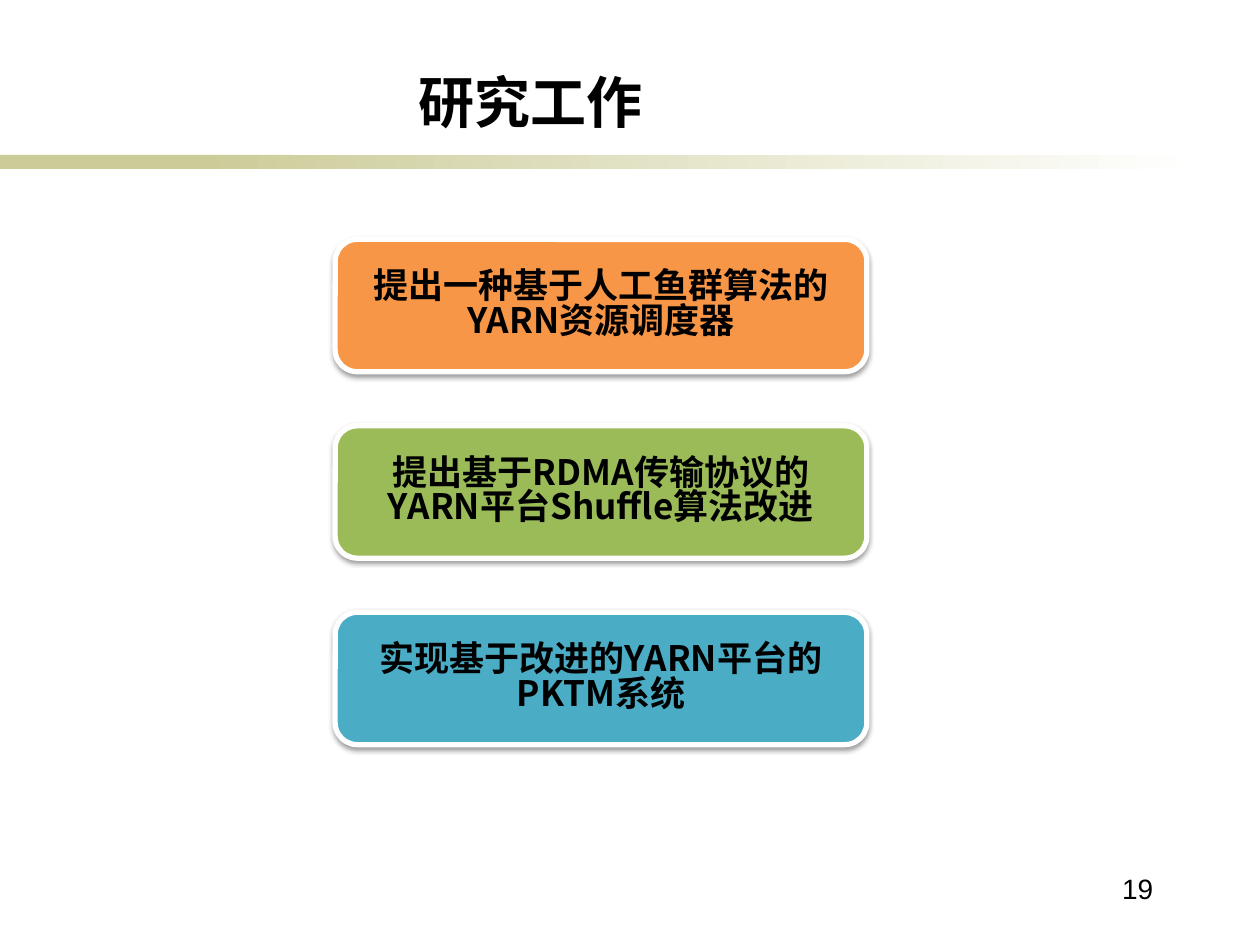
from dataclasses import dataclass

from lxml.etree import SubElement
from pptx import Presentation
from pptx.dml.color import RGBColor
from pptx.enum.shapes import MSO_SHAPE as Preset
from pptx.enum.text import MSO_ANCHOR as Anchor, PP_ALIGN as Align
from pptx.oxml.ns import qn
from pptx.shapes.autoshape import Shape
from pptx.slide import Slide
from pptx.util import Inches, Pt

BLACK = RGBColor(0x00, 0x00, 0x00)
WHITE = RGBColor(0xFF, 0xFF, 0xFF)
KHAKI = RGBColor(0xCC, 0xCC, 0x99)
ORANGE = RGBColor(0xF7, 0x96, 0x46)
GREEN = RGBColor(0x9B, 0xBB, 0x59)
TEAL = RGBColor(0x4B, 0xAC, 0xC6)

CJK_FONT = "Noto Sans CJK SC"
BAND_TOP, BAND_HEIGHT = 1.23, 0.11
CARD_LEFT, CARD_TOP, CARD_WIDTH, CARD_HEIGHT = 2.66, 1.9, 4.22, 1.05
CARD_PITCH = 1.48


@dataclass(frozen=True)
class Card:
    text: str
    color: RGBColor


CARDS = [
    Card("提出一种基于人工鱼群算法的YARN资源调度器", ORANGE),
    Card("提出基于RDMA传输协议的YARN平台Shuffle算法改进", GREEN),
    Card("实现基于改进的YARN平台的PKTM系统", TEAL),
]


def write_text(shape: Shape, text: str, *, size: float, font: str = CJK_FONT,
               bold: bool = True, align: Align = Align.CENTER,
               anchor: Anchor = Anchor.MIDDLE, inset_x: float = 0,
               inset_y: float = 0, spacing: float = 1.0) -> None:
    frame = shape.text_frame
    frame.word_wrap = True
    frame.vertical_anchor = anchor
    frame.margin_left = frame.margin_right = Inches(inset_x)
    frame.margin_top = frame.margin_bottom = Inches(inset_y)
    paragraph = frame.paragraphs[0]
    paragraph.alignment = align
    paragraph.line_spacing = spacing
    run = paragraph.add_run()
    run.text = text
    run.font.size = Pt(size)
    run.font.bold = bold
    run.font.name = font
    run.font.color.rgb = BLACK
    SubElement(run.font._element, qn("a:ea"), typeface=font)


def add_text_box(slide: Slide, left: float, top: float, width: float,
                 height: float, text: str, **text_format) -> None:
    box = slide.shapes.add_textbox(Inches(left), Inches(top), Inches(width), Inches(height))
    write_text(box, text, **text_format)


def add_block(slide: Slide, preset: Preset, left: float, top: float,
              width: float, height: float, color: RGBColor) -> Shape:
    shape = slide.shapes.add_shape(preset, Inches(left), Inches(top),
                                   Inches(width), Inches(height))
    shape.shadow.inherit = False
    shape.fill.solid()
    shape.fill.fore_color.rgb = color
    shape.line.fill.background()
    return shape


def add_soft_shadow(shape: Shape) -> None:
    effects = shape._element.spPr.find(qn("a:effectLst"))
    shadow = SubElement(effects, qn("a:outerShdw"), blurRad=str(Pt(3.1)),
                        dist=str(Pt(1.6)), dir="5400000", rotWithShape="0")
    color = SubElement(shadow, qn("a:srgbClr"), val=str(BLACK))
    SubElement(color, qn("a:alpha"), val="38000")


def add_card(slide: Slide, card: Card, top: float) -> None:
    shape = add_block(slide, Preset.ROUNDED_RECTANGLE, CARD_LEFT, top,
                      CARD_WIDTH, CARD_HEIGHT, card.color)
    shape.line.color.rgb = WHITE
    shape.line.width = Pt(3)
    add_soft_shadow(shape)
    write_text(shape, card.text, size=20, inset_x=0.08, spacing=0.83)


def add_title_band(slide: Slide) -> None:
    add_block(slide, Preset.RECTANGLE, 0, BAND_TOP, 2.33, BAND_HEIGHT, KHAKI)
    fade = add_block(slide, Preset.RECTANGLE, 1.58, BAND_TOP, 7.92, BAND_HEIGHT, KHAKI)
    fade.fill.gradient()
    fade.fill.gradient_angle = 0
    for stop, color in zip(fade.fill.gradient_stops, (KHAKI, WHITE)):
        stop.color.rgb = color


def main() -> None:
    presentation = Presentation()
    presentation.slide_width = Inches(10)
    presentation.slide_height = Inches(7.5)
    slide = presentation.slides.add_slide(presentation.slide_layouts[6])

    # Header and page number
    add_title_band(slide)
    add_text_box(slide, 8.23, 6.87, 1.02, 0.5, "19", size=16, font="Arial", bold=False,
                 align=Align.RIGHT, anchor=Anchor.TOP, inset_x=0.1, inset_y=0.05)
    add_text_box(slide, 1.14, 0.44, 6.14, 0.63, "研究工作", size=32, anchor=Anchor.BOTTOM)

    # Research topics
    for index, card in enumerate(CARDS):
        add_card(slide, card, CARD_TOP + index * CARD_PITCH)

    presentation.save("out.pptx")


if __name__ == "__main__":
    main()
